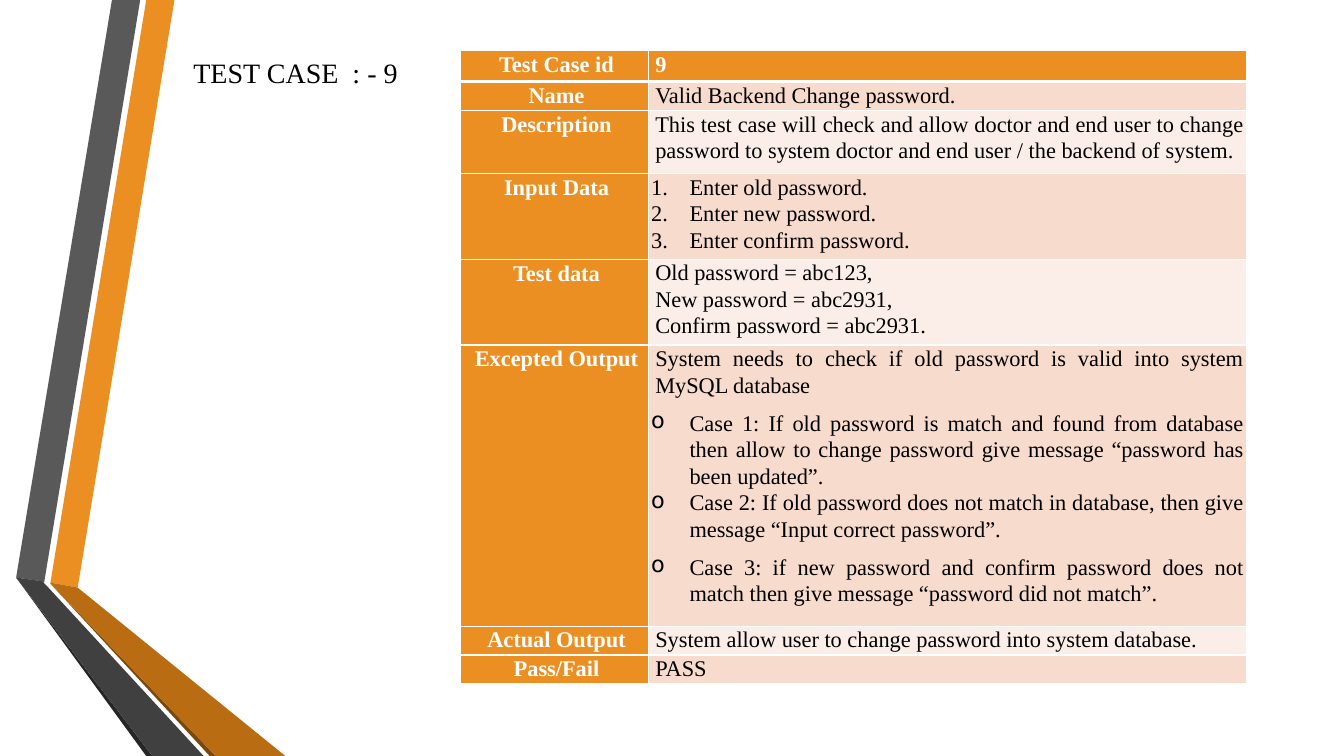
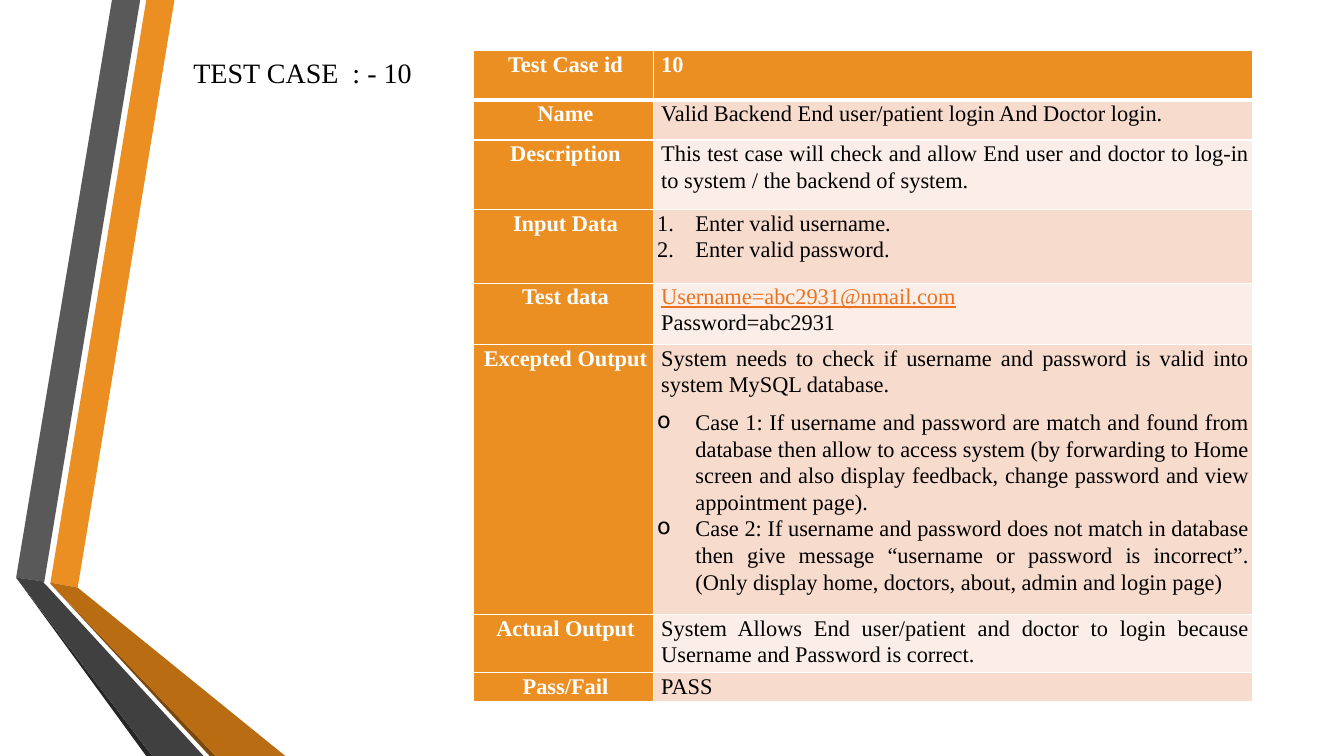
from dataclasses import dataclass
from typing import Iterable

from lxml.etree import SubElement
from pptx import Presentation
from pptx.dml.color import RGBColor as Rgb
from pptx.enum.text import MSO_ANCHOR as Anchor, MSO_AUTO_SIZE as AutoSize, PP_ALIGN as Align
from pptx.oxml.ns import qn
from pptx.util import Emu, Inches, Pt

FONT = "Times New Roman"
COLORS = {
    "orange": "EB8F22", "brown": "B96C11", "dark brown": "7B480B",
    "gray": "595959", "charcoal": "404040", "near black": "262626",
    "peach": "F7DBCD", "pale peach": "FBEEE8",
    "text": "000000", "white": "FFFFFF", "link": "EC7220",
}
SLIDE_WIDTH, SLIDE_HEIGHT = Inches(13.33), Inches(7.5)
TITLE_LEFT, CONTENT_TOP, TITLE_HEIGHT = 13.65, 6.67, 5.87  # percent of the slide
TEXT_INDENT, LIST_INDENT = Inches(0.04), Inches(0.38)
NUMBER, CIRCLE = "1.", "o"
LABELS = ("Test Case id", "Name", "Description", "Input Data", "Test data",
          "Excepted Output", "Actual Output", "Pass/Fail")
TIGHT_LABELS = ("Input Data", "Test data")


@dataclass(frozen=True)
class Band:
    color: str
    points: tuple[tuple[float, float], ...]  # percent of width, percent of height


@dataclass(frozen=True)
class Line:
    text: str
    bullet: str = ""
    color: str = "text"
    gap_after: bool = False


@dataclass(frozen=True)
class TestCase:
    number: int
    title_width: float  # widths, heights and left are percents of the slide
    left: float
    columns: tuple[float, float]
    rows: tuple[float, ...]
    inset: float  # inches
    answers: tuple[tuple[Line, ...], ...]  # one entry per label after the id


BANDS = (
    Band("orange", ((3.75, 77.07), (5.78, 77.73), (12.98, 0), (10.88, 0))),
    Band("gray", ((10.43, 0), (8.33, 0), (1.2, 76.4), (3.3, 76.93))),
    Band("near black", ((1.2, 76.4), (10.88, 100), (11.33, 100))),
    Band("dark brown", ((3.75, 77.2), (15.6, 100), (16.05, 100))),
    Band("brown", ((3.75, 77.07), (3.75, 77.2), (16.05, 100), (21.23, 100), (5.78, 77.73))),
    Band("charcoal", ((15.15, 100), (3.6, 77.73), (3.23, 77.07), (3.3, 76.93),
                      (1.2, 76.4), (11.33, 100))),
)

TEST_CASES = (
    TestCase(
        9, 17.1, 34.28, (13.95, 44.55),
        (4.13, 3.73, 8.4, 11.2, 11.33, 37.2, 3.73, 3.73), 0.03,
        (
            (Line("Valid Backend Change password."),),
            (Line("This test case will check and allow doctor and end user to change "
                  "password to system doctor and end user / the backend of system."),),
            (Line("Enter old password.", NUMBER),
             Line("Enter new password.", NUMBER),
             Line("Enter confirm password.", NUMBER)),
            (Line("Old password = abc123,"),
             Line("New password = abc2931,"),
             Line("Confirm password = abc2931.")),
            (Line("System needs to check if old password is valid into system "
                  "MySQL database", gap_after=True),
             Line("Case 1: If old password is match and found from database then allow "
                  "to change password give message “password has been updated”.", CIRCLE),
             Line("Case 2: If old password does not match in database, then give "
                  "message “Input correct password”.", CIRCLE, gap_after=True),
             Line("Case 3: if new password and confirm password does not match then "
                  "give message “password did not match”.", CIRCLE)),
            (Line("System allow user to change password into system database."),),
            (Line("PASS"),),
        ),
    ),
    TestCase(
        10, 18.08, 35.25, (13.35, 44.63),
        (6.53, 5.33, 9.2, 9.73, 8.13, 35.6, 7.73, 3.6), 0.04,
        (
            (Line("Valid Backend End user/patient login And Doctor login."),),
            (Line("This test case will check and allow End user and doctor to log-in "
                  "to system / the backend of system."),),
            (Line("Enter valid username.", NUMBER),
             Line("Enter valid password.", NUMBER)),
            (Line("Username=abc2931@nmail.com", color="link"),
             Line("Password=abc2931")),
            (Line("System needs to check if username and password is valid into "
                  "system MySQL database.", gap_after=True),
             Line("Case 1: If username and password are match and found from database "
                  "then allow to access system (by forwarding to Home screen and also "
                  "display feedback, change password and view appointment page).", CIRCLE),
             Line("Case 2: If username and password does not match in database then "
                  "give message “username or password is incorrect”. (Only display "
                  "home, doctors, about, admin and login page)", CIRCLE)),
            (Line("System Allows End user/patient and doctor to login because "
                  "Username and Password is correct."),),
            (Line("PASS"),),
        ),
    ),
)


def across(percent: float) -> Emu:
    return Emu(round(SLIDE_WIDTH * percent / 100))


def down(percent: float) -> Emu:
    return Emu(round(SLIDE_HEIGHT * percent / 100))


def rgb(name: str) -> Rgb:
    return Rgb.from_string(COLORS[name])


def draw_bands(slide) -> None:
    ribbon = slide.shapes.add_group_shape()
    for band in BANDS:
        start, *rest = [(across(x), down(y)) for x, y in band.points]
        outline = ribbon.shapes.build_freeform(*start)
        outline.add_line_segments(rest, close=True)
        piece = outline.convert_to_shape()
        piece.shadow.inherit = False
        piece.fill.solid()
        piece.fill.fore_color.rgb = rgb(band.color)
        piece.line.fill.background()


def add_run(paragraph, text: str, size: int, color: str, bold: bool = False) -> None:
    run = paragraph.add_run()
    run.text = text
    run.font.name = FONT
    run.font.size = Pt(size)
    run.font.bold = bold
    run.font.color.rgb = rgb(color)
    if color == "link":
        run.font.underline = True


def draw_title(slide, case: TestCase) -> None:
    title = slide.shapes.add_textbox(across(TITLE_LEFT), down(CONTENT_TOP),
                                     across(case.title_width), down(TITLE_HEIGHT))
    title.text_frame.word_wrap = True
    title.text_frame.auto_size = AutoSize.SHAPE_TO_FIT_TEXT
    add_run(title.text_frame.paragraphs[0], f"TEST CASE  : - {case.number}", 20, "text")


def indent(paragraph, bullet: str) -> None:
    properties = paragraph._p.get_or_add_pPr()
    properties.set("marL", str(LIST_INDENT if bullet else TEXT_INDENT))
    properties.set("indent", str(-LIST_INDENT if bullet else 0))
    if bullet == NUMBER:
        SubElement(properties, qn("a:buAutoNum"), type="arabicPeriod")
    elif bullet:
        SubElement(properties, qn("a:buChar"), char=bullet)


def draw_borders(cell, bottom_width: int) -> None:
    properties = cell._tc.get_or_add_tcPr()
    for side, width in (("L", 1), ("R", 1), ("T", 1), ("B", bottom_width)):
        border = SubElement(properties, qn(f"a:ln{side}"), w=str(Pt(width)))
        SubElement(SubElement(border, qn("a:solidFill")), qn("a:srgbClr"), val=COLORS["white"])


def fill_cell(cell, lines: Iterable[Line], align: Align, fill: str, inset: float,
              spacing: float, bold: bool, bottom_width: int) -> None:
    draw_borders(cell, bottom_width)
    cell.fill.solid()
    cell.fill.fore_color.rgb = rgb(fill)
    cell.margin_left = cell.margin_right = Inches(inset)
    cell.margin_top = cell.margin_bottom = 0
    cell.vertical_anchor = Anchor.TOP
    lines = tuple(lines)
    for position, line in enumerate(lines):
        frame = cell.text_frame
        paragraph = frame.add_paragraph() if position else frame.paragraphs[0]
        indent(paragraph, line.bullet)
        paragraph.alignment = align
        paragraph.line_spacing = spacing
        is_last = position == len(lines) - 1
        paragraph.space_after = Pt(8 if line.gap_after or is_last else 0)
        add_run(paragraph, line.text, 16, line.color, bold)


def draw_table(slide, case: TestCase) -> None:
    table = slide.shapes.add_table(
        len(LABELS), len(case.columns), across(case.left), down(CONTENT_TOP),
        across(sum(case.columns)), down(sum(case.rows))).table
    table.first_row = table.horz_banding = False
    for column, width in zip(table.columns, case.columns):
        column.width = across(width)
    answers = ((Line(str(case.number), color="white"),), *case.answers)
    for index, (label, answer) in enumerate(zip(LABELS, answers)):
        table.rows[index].height = down(case.rows[index])
        is_header = index == 0
        bottom_width = 3 if is_header else 1
        spacing = 1.06 if label in TIGHT_LABELS else 1.07
        stripe = "orange" if is_header else ("pale peach", "peach")[index % 2]
        fill_cell(table.cell(index, 0), [Line(label, color="white")], Align.CENTER,
                  "orange", case.inset, 1.07, True, bottom_width)
        fill_cell(table.cell(index, 1), answer, Align.JUSTIFY,
                  stripe, case.inset, spacing, is_header, bottom_width)


def main() -> None:
    deck = Presentation()
    deck.slide_width, deck.slide_height = SLIDE_WIDTH, SLIDE_HEIGHT
    blank = deck.slide_layouts[6]
    for case in TEST_CASES:
        slide = deck.slides.add_slide(blank)
        draw_bands(slide)
        draw_title(slide, case)
        draw_table(slide, case)
    deck.save("out.pptx")


if __name__ == "__main__":
    main()
